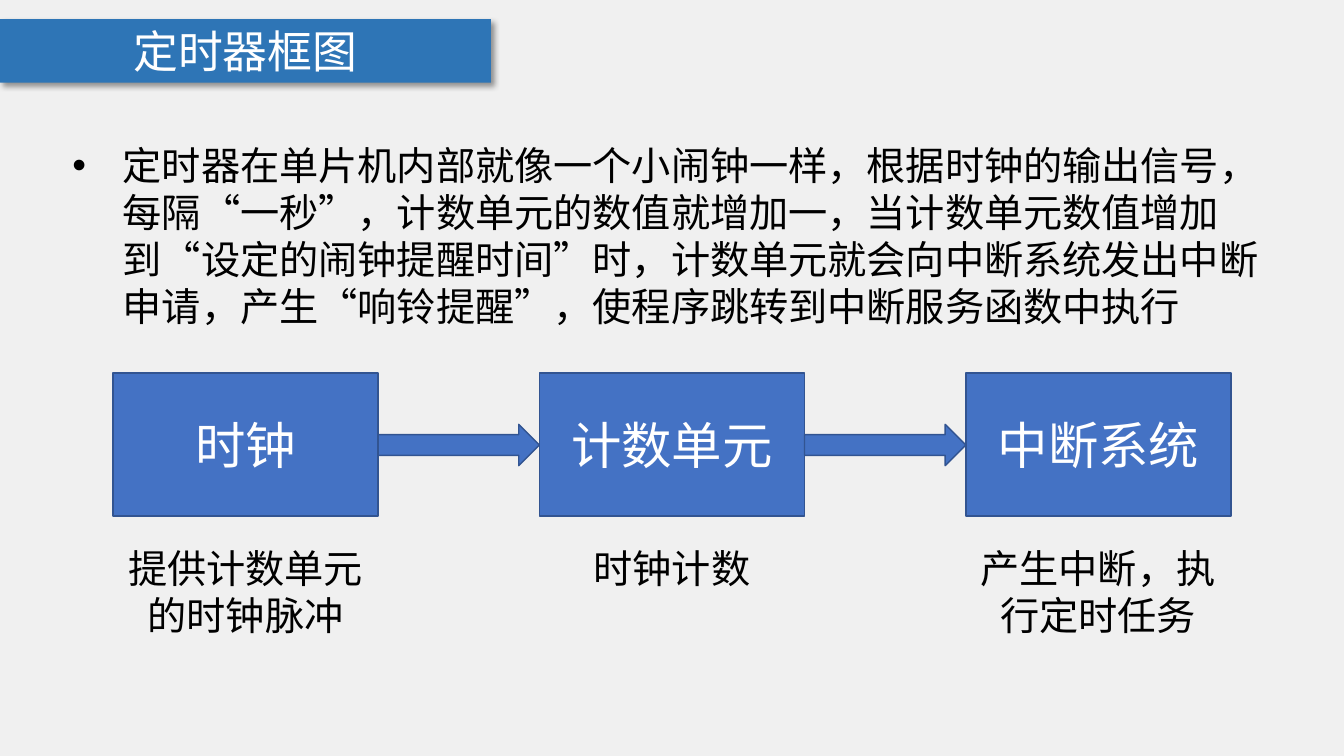
from lxml import etree
from pptx import Presentation
from pptx.dml.color import RGBColor
from pptx.enum.lang import MSO_LANGUAGE_ID
from pptx.enum.shapes import MSO_SHAPE
from pptx.enum.text import MSO_ANCHOR, MSO_AUTO_SIZE, PP_ALIGN
from pptx.oxml import parse_xml
from pptx.oxml.ns import qn
from pptx.util import Pt

RECT, ARROW = MSO_SHAPE.RECTANGLE, MSO_SHAPE.RIGHT_ARROW
LEFT, CENTER, MIDDLE = PP_ALIGN.LEFT, PP_ALIGN.CENTER, MSO_ANCHOR.MIDDLE
FIXED, GROW = MSO_AUTO_SIZE.NONE, MSO_AUTO_SIZE.SHAPE_TO_FIT_TEXT
CHINESE = MSO_LANGUAGE_ID.SIMPLIFIED_CHINESE
PALE = RGBColor(0xF0, 0xF0, 0xF0)
BANNER = RGBColor(0x2E, 0x75, 0xB6)
BLUE = RGBColor(0x44, 0x72, 0xC4)
EDGE = RGBColor(0x32, 0x54, 0x91)
WHITE = RGBColor(0xFF, 0xFF, 0xFF)
BLACK = RGBColor(0, 0, 0)
FONT = "Noto Sans CJK SC"
PX = 9144  # 100 px to the inch


def write(shape, text, size, color, align=CENTER, fit=FIXED):
    frame = shape.text_frame
    frame.text = text
    frame.word_wrap = True
    frame.auto_size = fit
    line = frame.paragraphs[0]
    line.alignment = align
    font = line.runs[0].font
    font.size, font.name = Pt(size), FONT
    font.color.rgb = color
    font.language_id = CHINESE
    etree.SubElement(line.runs[0]._r.rPr, qn("a:ea"), typeface=FONT)
    return line


def block(kind, x, y, w, h):
    shape = slide.shapes.add_shape(kind, x * PX, y * PX, w * PX, h * PX)
    shape.shadow.inherit = False
    shape.fill.solid()
    shape.fill.fore_color.rgb = BLUE
    shape.line.color.rgb = EDGE
    shape.line.width = Pt(1)
    return shape


# Slide
deck = Presentation()
deck.slide_width, deck.slide_height = 1333 * PX, 750 * PX
slide = deck.slides.add_slide(deck.slide_layouts[5])
slide.background.fill.solid()
slide.background.fill.fore_color.rgb = PALE

# Title banner with its shadow
title = slide.shapes.title
title.left, title.top, title.width, title.height = 0, 19 * PX, 487 * PX, 63 * PX
title.fill.solid()
title.fill.fore_color.rgb = BANNER
write(title, "定时器框图", 32, WHITE)
title.text_frame.vertical_anchor = MIDDLE
title._element.spPr.append(parse_xml(
    '<a:effectLst xmlns:a="http://schemas.openxmlformats.org/drawingml/2006/main">'
    '<a:outerShdw blurRad="50800" dist="38100" dir="2700000" algn="tl" rotWithShape="0">'
    '<a:srgbClr val="000000"><a:alpha val="40000"/></a:srgbClr>'
    '</a:outerShdw></a:effectLst>'))

# Bulleted text
body = slide.shapes.add_textbox(62 * PX, 135 * PX, 1208 * PX, 199 * PX)
line = write(body, "定时器在单片机内部就像一个小闹钟一样，根据时钟的输出信号，"
             "每隔“一秒”，计数单元的数值就增加一，当计数单元数值增加"
             "到“设定的闹钟提醒时间”时，计数单元就会向中断系统发出中断"
             "申请，产生“响铃提醒”，使程序跳转到中断服务函数中执行",
             28, BLACK, LEFT, GROW)
props = line._p.get_or_add_pPr()
props.set("marL", str(50 * PX))
props.set("indent", str(-50 * PX))
etree.SubElement(props, qn("a:buFont"), typeface="Arial")
etree.SubElement(props, qn("a:buChar"), char="•")

# Stages, captions and the arrows between them
WIDE, STEP, FIRST = 263, 423, 112
stages = [
    ("时钟", "提供计数单元的时钟脉冲", 263, 104),
    ("计数单元", "时钟计数", 221, 57),
    ("中断系统", "产生中断，执行定时任务", 276, 104),
]
for i, (name, note, w, h) in enumerate(stages):
    x = FIRST + i * STEP
    stage = block(RECT, x, 370, WIDE, 142)
    write(stage, name, 36, WHITE)
    stage.text_frame.vertical_anchor = MIDDLE
    left = x + (WIDE - w) // 2
    label = slide.shapes.add_textbox(left * PX, 535 * PX, w * PX, h * PX)
    write(label, note, 28, BLACK, fit=GROW)
    if i < len(stages) - 1:
        block(ARROW, x + WIDE, 421, STEP - WIDE, 41)

deck.save("out.pptx")
